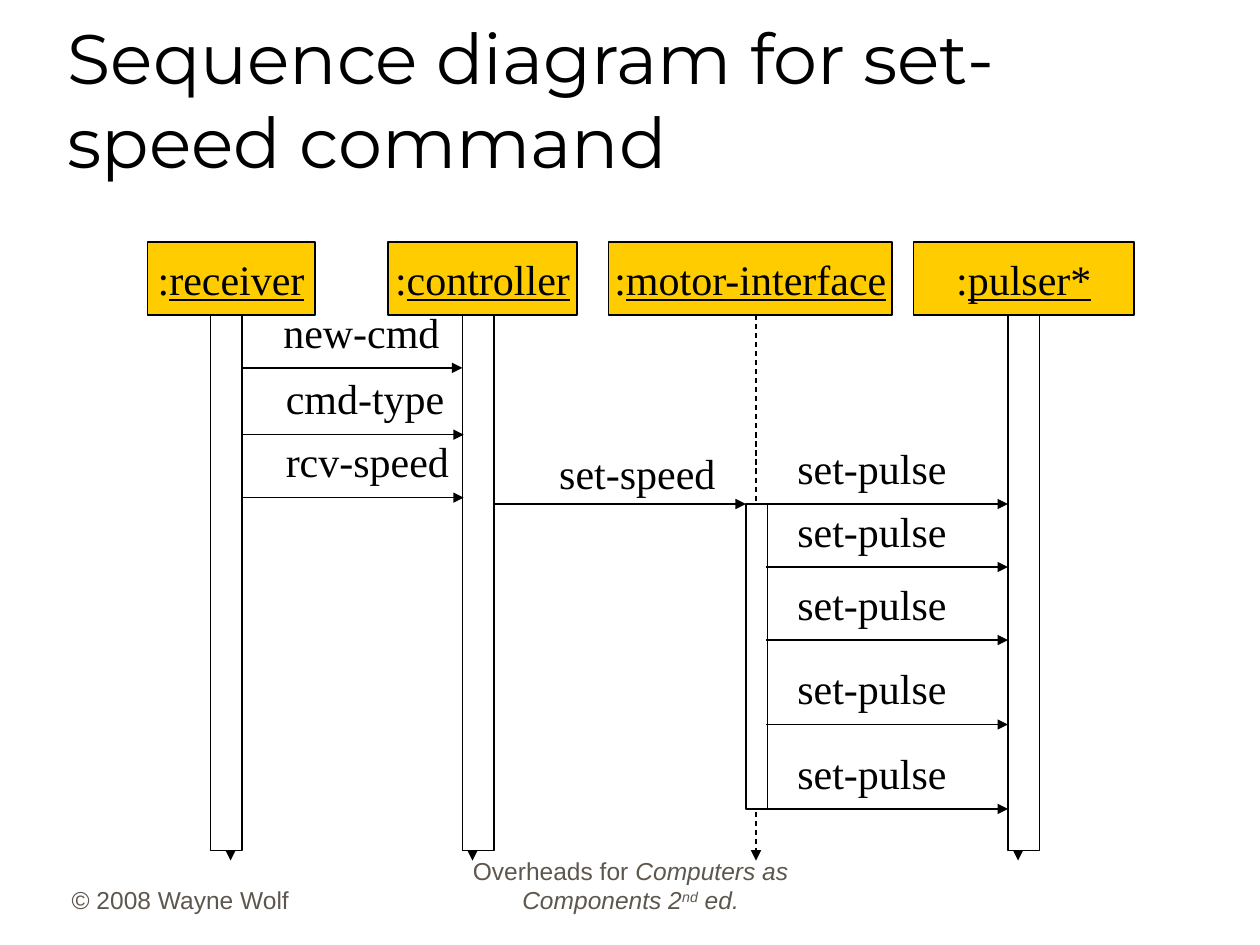
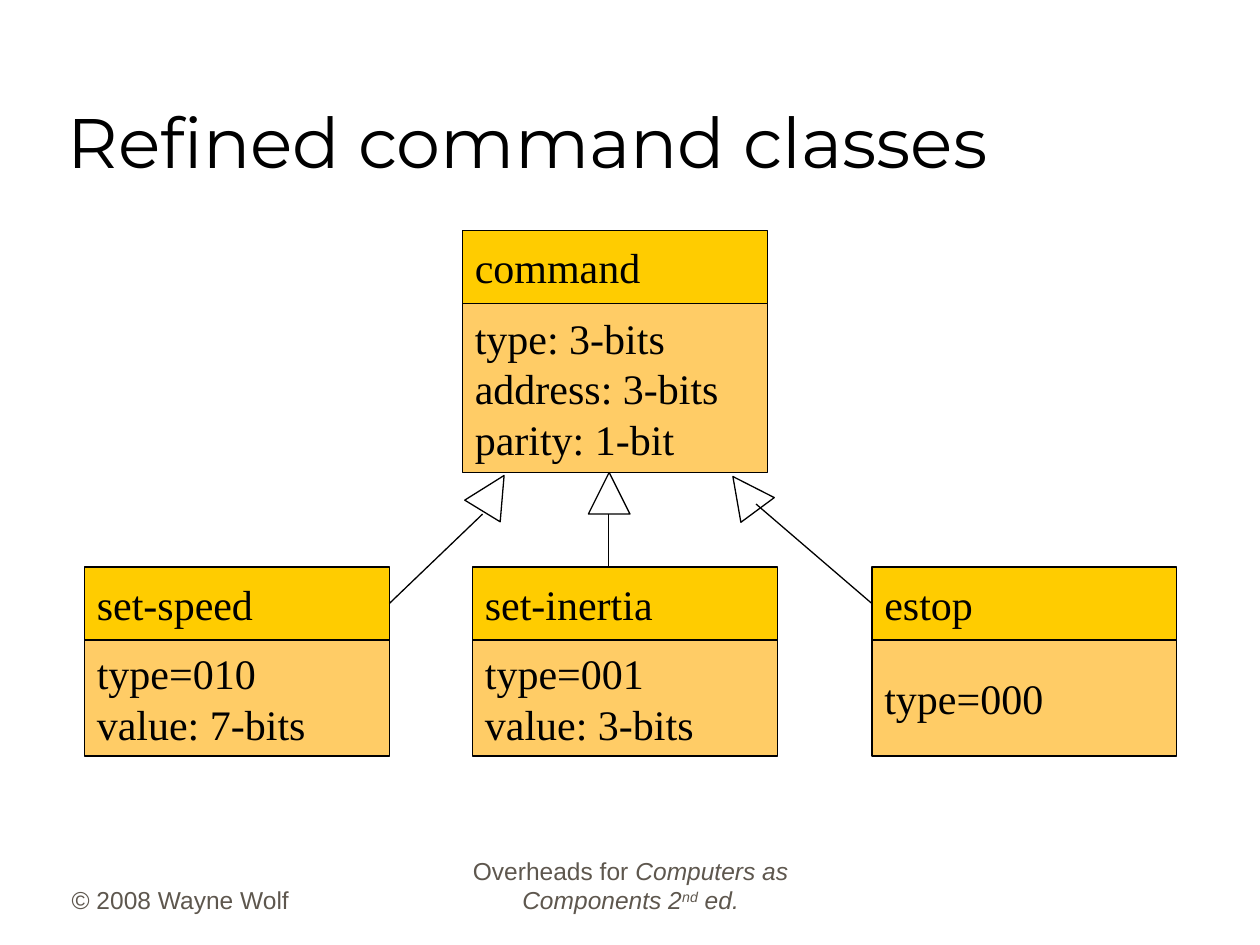
from lxml.etree import SubElement
from pptx import Presentation
from pptx.dml.color import RGBColor
from pptx.enum.dml import MSO_LINE
from pptx.enum.shapes import MSO_CONNECTOR, MSO_SHAPE
from pptx.enum.text import MSO_ANCHOR as Anchor, PP_ALIGN as Align
from pptx.oxml.ns import qn
from pptx.util import Inches, Pt

BLACK = RGBColor(0, 0, 0)
WHITE = RGBColor(255, 255, 255)
GOLD = RGBColor(0xFF, 0xCC, 0)
PEACH = RGBColor(0xFF, 0xCC, 0x66)
GREY = RGBColor(0x5E, 0x57, 0x4E)
SERIF = "Times New Roman"
HEAD = 0.58
WIDE = 2.42


def write(shape, lines, font=SERIF, size=24, color=BLACK, align=Align.LEFT,
          anchor=Anchor.MIDDLE, wrap=True):
    frame = shape.text_frame
    frame.word_wrap = wrap
    frame.vertical_anchor = anchor
    for i, line in enumerate(lines):
        para = frame.paragraphs[0] if i == 0 else frame.add_paragraph()
        para.alignment = align
        for part in [line] if isinstance(line, str) else line:
            text, style = (part, "") if isinstance(part, str) else part
            run = para.add_run()
            run.text = text
            run.font.name = font
            run.font.size = Pt(size)
            run.font.color.rgb = color
            if "u" in style:
                run.font.underline = True
            if "i" in style:
                run.font.italic = True
            if "^" in style:
                run._r.get_or_add_rPr().set("baseline", "30000")


def label(slide, lines, x, y, w, h, **style):
    box = slide.shapes.add_textbox(Inches(x), Inches(y), Inches(w), Inches(h))
    write(box, lines, **style)


def block(slide, x, y, w, h, fill=WHITE, kind=MSO_SHAPE.RECTANGLE):
    shape = slide.shapes.add_shape(kind, Inches(x), Inches(y), Inches(w), Inches(h))
    shape.shadow.inherit = False
    shape.fill.solid()
    shape.fill.fore_color.rgb = fill
    shape.line.color.rgb = BLACK
    shape.line.width = Pt(0.75)
    return shape


def link(slide, x1, y1, x2, y2, arrow=False, dash=False):
    line = slide.shapes.add_connector(
        MSO_CONNECTOR.STRAIGHT, Inches(x1), Inches(y1), Inches(x2), Inches(y2))
    line.line.color.rgb = BLACK
    line.line.width = Pt(0.75)
    if dash:
        line.line.dash_style = MSO_LINE.DASH
    if arrow:
        SubElement(line.line._get_or_add_ln(), qn("a:tailEnd"), type="triangle")
    SubElement(line._element.spPr, qn("a:effectLst"))
    return line


def base(deck, title):
    slide = deck.slides.add_slide(deck.slide_layouts[6])
    foot = dict(font="Arial", size=14, color=GREY, anchor=Anchor.BOTTOM)
    label(slide, ["© 2008 Wayne Wolf"], 0.47, 6.81, 2.08, 0.5, **foot)
    book = ["Overheads for ", ("Computers as Components 2", "i"),
            ("nd", "i^"), (" ed.", "i")]
    label(slide, [book], 3.42, 6.81, 3.17, 0.5, align=Align.CENTER, **foot)
    label(slide, [title], 0.44, 0.25, 8.5, 1.25, font="Montserrat", size=40,
          anchor=Anchor.BOTTOM)
    return slide


def lane(slide, x, y, name, width, life, bar):
    head = block(slide, x, y, width, HEAD, GOLD)
    write(head, [[":", (name, "u")]], align=Align.CENTER, wrap=False)
    line = link(slide, x + life, y + HEAD, x + life, y + 4.91, arrow=True, dash=True)
    if abs(life - width / 2) < 0.01:
        line.begin_connect(head, 2)
    left, top, w, h = bar
    block(slide, x + left, y + top, w, h)


def call(slide, x, y, text, span, inset, lift=0.54):
    link(slide, x, y, x + span, y, arrow=True)
    label(slide, [text], x + inset, y - lift, 1.6, 0.5, anchor=Anchor.TOP)


def sequence(slide, x, y):
    tall = (HEAD, 0.25, 4.25)
    lanes = [(0, "receiver", 1.33, 0.66, (0.5, *tall)),
             (1.91, "controller", 1.5, 0.67, (0.59, *tall)),
             (3.66, "motor-interface", 2.25, 1.17, (1.09, 2.08, 0.17, 2.42)),
             (6.08, "pulser*", 1.75, 0.83, (0.75, *tall))]
    for left, *parts in lanes:
        lane(slide, x + left, y, *parts)
    calls = [(0.75, 1, "new-cmd", 1.75, 0.23),
             (0.76, 1.53, "cmd-type", 1.75, 0.24),
             (0.76, 2.03, "rcv-speed", 1.75, 0.24),
             (2.75, 2.08, "set-speed", 2, 0.42, 0.5)]
    calls += [(4.91, drop, "set-pulse", 1.92, 0.15)
              for drop in (2.08, 2.58, 3.16, 3.83, 4.5)]
    for left, drop, *parts in calls:
        call(slide, x + left, y + drop, *parts)


def card(slide, x, y, name, rows, height):
    head = block(slide, x, y, WIDE, HEAD, GOLD)
    write(head, [name])
    write(block(slide, x, y + HEAD, WIDE, height, PEACH), rows)
    return head


def tree(slide, x, y):
    card(slide, x + 3, y, "command",
         ["type: 3-bits", "address: 3-bits", "parity: 1-bit"], 1.34)
    kids = [(0, "set-speed", ["type=010", "value: 7-bits"]),
            (3.08, "set-inertia", ["type=001", "value: 3-bits"]),
            (6.25, "estop", ["type=000"])]
    speed, _, stop = [card(slide, x + left, y + 2.67, name, rows, 0.92)
                      for left, name, rows in kids]
    for left, turn in ((4, 0), (3.08, 31.4), (5.08, 323.5)):
        tip = block(slide, x + left, y + 1.92, 0.33, 0.33,
                    kind=MSO_SHAPE.ISOSCELES_TRIANGLE)
        tip.rotation = turn
    link(slide, x + 3.16, y + 2.25, x + 2.42, y + 3).end_connect(speed, 3)
    link(slide, x + 4.16, y + 2.25, x + 4.16, y + 2.67)
    link(slide, x + 5.33, y + 2.17, x + 6.25, y + 3).end_connect(stop, 1)


def main():
    deck = Presentation()
    deck.slide_width = Inches(10)
    deck.slide_height = Inches(7.5)
    sequence(base(deck, "Sequence diagram for set-speed command"), 1.17, 1.92)
    tree(base(deck, "Refined command classes"), 0.67, 1.83)
    deck.save("out.pptx")


if __name__ == "__main__":
    main()
